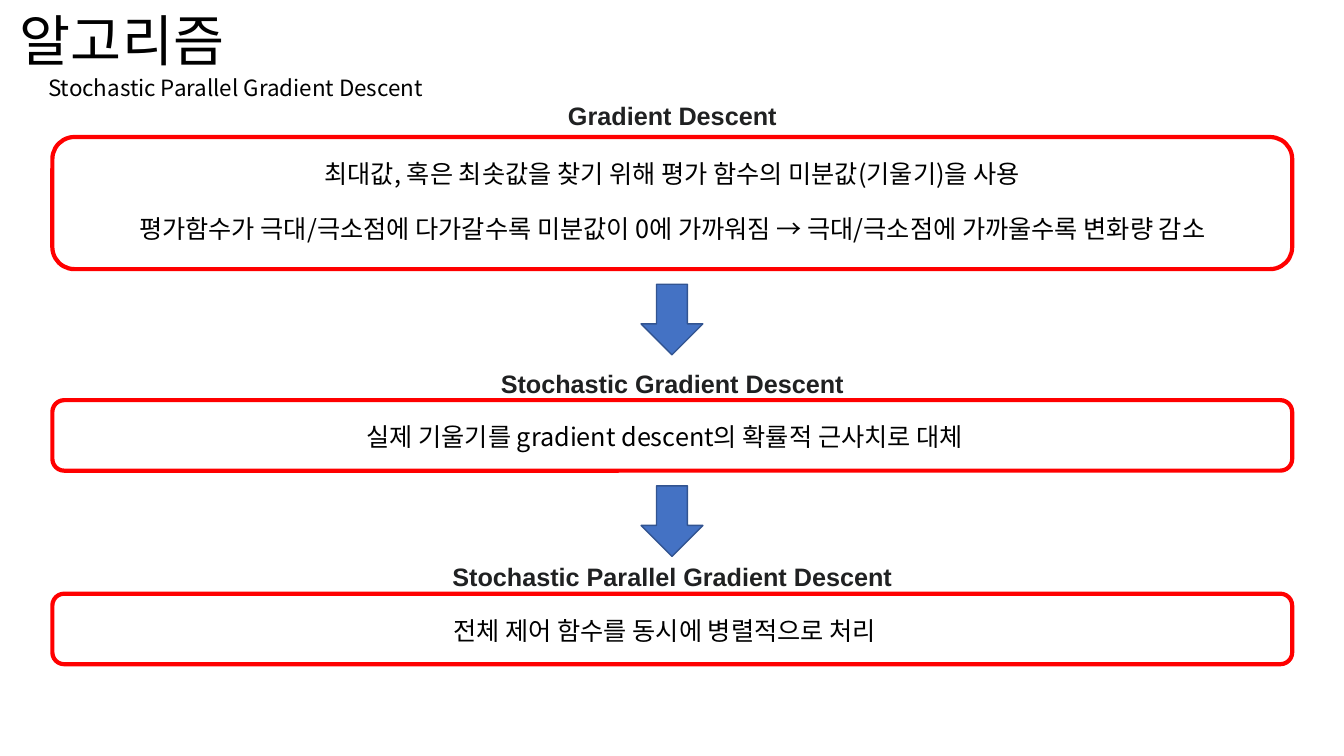
"""Build the slide on gradient descent, from plain to stochastic parallel."""
from pptx import Presentation
from pptx.dml.color import RGBColor
from pptx.enum.shapes import MSO_SHAPE as Kind
from pptx.enum.text import MSO_ANCHOR as Anchor, PP_ALIGN as Align
from pptx.oxml.ns import qn
from pptx.util import Inches, Pt
from lxml.etree import SubElement

HUE = {"ink": "000000", "head": "202122", "frame": "FF0000",
       "arrow": "4472C4", "edge": "325491"}
KOR = "Noto Sans CJK KR"

deck = Presentation()
deck.slide_width, deck.slide_height = Inches(13.33), Inches(7.5)
COL, ROW = deck.slide_width / 100, deck.slide_height / 100
slide = deck.slides.add_slide(deck.slide_layouts[6])


def write(text, x, y, w, h, size=18, face=KOR, hue="ink", bold=False,
          align=Align.CENTER, anchor=Anchor.TOP, lead=None, gap=0, pad=0.1):
    box = slide.shapes.add_textbox(*cell(x, y, w, h))
    frame = box.text_frame
    frame.word_wrap = True
    frame.vertical_anchor = anchor
    frame.margin_right = Inches(pad)
    frame.text = text
    for i, para in enumerate(frame.paragraphs):
        para.alignment = align
        para.line_spacing = lead
        para.space_before = Pt(gap if i else 0)
        font = para.runs[0].font
        font.size, font.bold, font.name = Pt(size), bold, face
        font.color.rgb = RGBColor.from_string(HUE[hue])
        SubElement(font._element, qn("a:ea"), typeface=face)


def cell(x, y, w, h):
    return [round(n) for n in (x * COL, y * ROW, w * COL, h * ROW)]


write("알고리즘", 0.75, 2, 91.15, 7.6, size=39.6, align=Align.LEFT,
      anchor=Anchor.MIDDLE, lead=0.9)
write("Stochastic Parallel Gradient Descent", 2.85, 9.6, 32.8, 4.4, size=16,
      align=Align.LEFT, lead=0.9)

LEFT, WIDE, LOW = 3.9, 92.25, 9.33
MID, SLIM = 35.25, 29.55
stages = [
    ("Gradient Descent", 12.67, MID, SLIM, 18.13, 17.47, 0.1,
     "최대값, 혹은 최솟값을 찾기 위해 평가 함수의 미분값(기울기)을 사용\n"
     "평가함수가 극대/극소점에 다가갈수록 미분값이 0에 가까워짐 → "
     "극대/극소점에 가까울수록 변화량 감소"),
    ("Stochastic Gradient Descent", 48, MID, SLIM, 52.93, LOW, 0.25,
     "실제 기울기를 gradient descent의 확률적 근사치로 대체"),
    ("Stochastic Parallel Gradient Descent", 73.6, LEFT, WIDE, 78.53, LOW, 0.25,
     "전체 제어 함수를 동시에 병렬적으로 처리"),
]

for i, (head, rise, x, w, top, tall, pad, body) in enumerate(stages):
    write(body, LEFT, top + 2.2, WIDE, tall if i == 0 else 5.33, gap=17.5, pad=pad)
    ring = slide.shapes.add_shape(Kind.ROUNDED_RECTANGLE, *cell(LEFT, top, WIDE, tall))
    ring.shadow.inherit = False
    ring.fill.background()
    ring.line.color.rgb = RGBColor.from_string(HUE["frame"])
    ring.line.width = Pt(3)
    write(head, x, rise, w, 5.33, face="Arial", hue="head", bold=True)
    if i < len(stages) - 1:
        arrow = slide.shapes.add_shape(Kind.DOWN_ARROW, *cell(47.7, top + tall + 2, 4.6, LOW))
        arrow.shadow.inherit = False
        arrow.fill.solid()
        arrow.fill.fore_color.rgb = RGBColor.from_string(HUE["arrow"])
        arrow.line.color.rgb = RGBColor.from_string(HUE["edge"])
        arrow.line.width = Pt(1)

deck.save("out.pptx")
